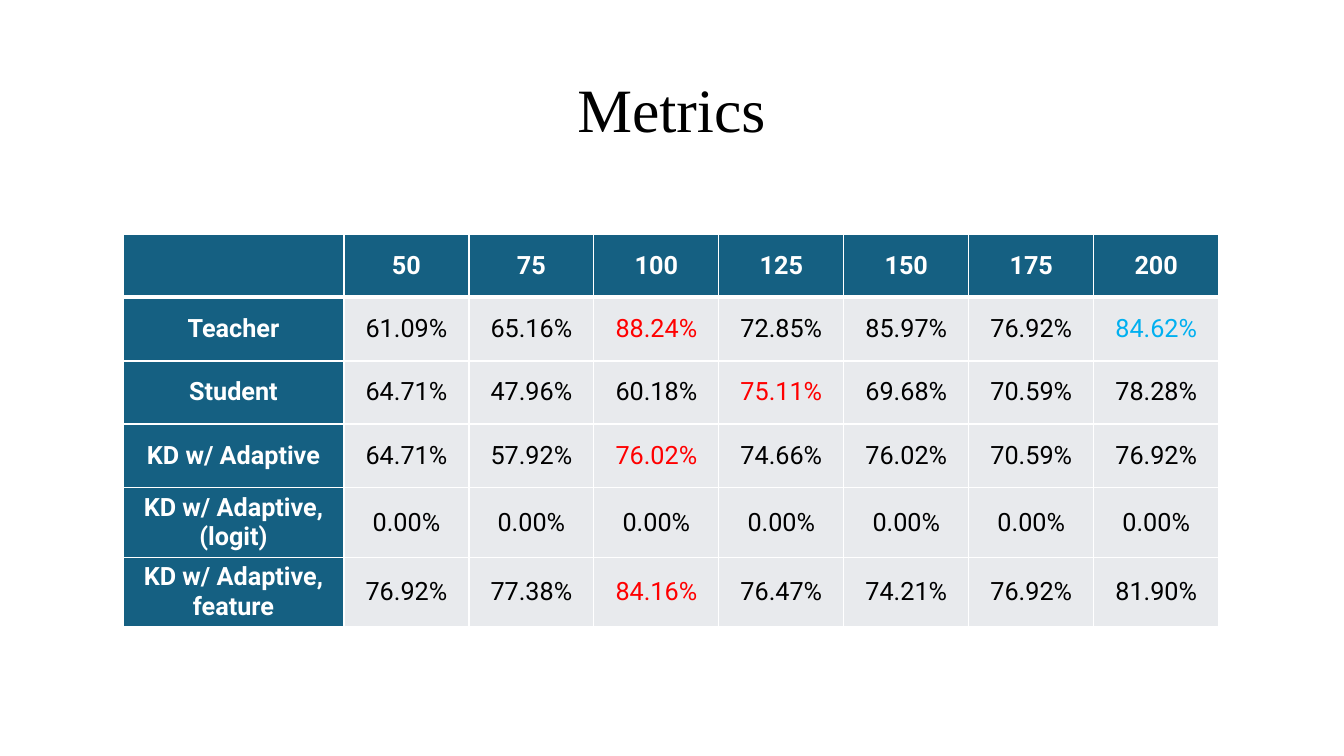
from lxml.etree import SubElement
from pptx import Presentation
from pptx.dml.color import RGBColor
from pptx.enum.text import MSO_ANCHOR, PP_ALIGN
from pptx.oxml.ns import qn
from pptx.util import Pt

EMU_PER_INCH = 914400
PX_PER_INCH = 100.8

WHITE = RGBColor(0xFF, 0xFF, 0xFF)
BLACK = RGBColor(0x00, 0x00, 0x00)
TEAL = RGBColor(0x15, 0x60, 0x82)
LIGHT_GRAY = RGBColor(0xE8, 0xEA, 0xED)
RED = RGBColor(0xFF, 0x00, 0x00)
SKY_BLUE = RGBColor(0x00, 0xB0, 0xF0)

TITLE_BOX = (92, 40, 1159, 146)
TABLE_BOX = (123, 234, 1096, 382)
LABEL_WIDTH = 221
ROW_HEIGHTS = (63, 64, 63, 64, 64, 64)

METRICS = [
    ("", "50", "75", "100", "125", "150", "175", "200"),
    ("Teacher", "61.09%", "65.16%", "88.24%", "72.85%", "85.97%", "76.92%", "84.62%"),
    ("Student", "64.71%", "47.96%", "60.18%", "75.11%", "69.68%", "70.59%", "78.28%"),
    ("KD w/ Adaptive", "64.71%", "57.92%", "76.02%", "74.66%", "76.02%", "70.59%", "76.92%"),
    ("KD w/ Adaptive,\n(logit)",) + ("0.00%",) * 7,
    ("KD w/ Adaptive,\nfeature", "76.92%", "77.38%", "84.16%", "76.47%", "74.21%", "76.92%", "81.90%"),
]
HIGHLIGHTS = {(1, 3): RED, (1, 7): SKY_BLUE, (2, 4): RED, (3, 3): RED, (5, 3): RED}

TITLE_FONT = {"name": "Times New Roman", "size": Pt(44), "bold": False}
CELL_FONT = {"name": "Roboto", "size": Pt(18)}


def px(length):
    return round(length * EMU_PER_INCH / PX_PER_INCH)


def format_font(font, color, values):
    for name, value in values.items():
        setattr(font, name, value)
    font.color.rgb = color


def add_title(slide, box):
    title = slide.shapes.title
    title.left, title.top, title.width, title.height = map(px, box)
    title.text_frame.text = "Metrics"
    title.text_frame.vertical_anchor = MSO_ANCHOR.MIDDLE
    para = title.text_frame.paragraphs[0]
    para.alignment = PP_ALIGN.CENTER
    para.line_spacing = 0.9
    format_font(para.runs[0].font, BLACK, TITLE_FONT)


def set_borders(cell, row):
    """Draw white borders, with a thick rule below the header row."""
    points = {"L": 1, "R": 1, "T": 3 if row == 1 else 1, "B": 3 if row == 0 else 1}
    properties = cell._tc.get_or_add_tcPr()
    for side, width in points.items():
        line = SubElement(properties, qn(f"a:ln{side}"), w=str(Pt(width)))
        fill = SubElement(line, qn("a:solidFill"))
        SubElement(fill, qn("a:srgbClr"), val=str(WHITE))


def fill_cell(cell, row, column, text):
    is_heading = row == 0 or column == 0
    color = WHITE if is_heading else HIGHLIGHTS.get((row, column), BLACK)
    set_borders(cell, row)
    cell.fill.solid()
    cell.fill.fore_color.rgb = TEAL if is_heading else LIGHT_GRAY
    cell.vertical_anchor = MSO_ANCHOR.MIDDLE
    cell.text = text
    for para in cell.text_frame.paragraphs:
        para.alignment = PP_ALIGN.CENTER
        for span in para.runs:
            format_font(span.font, color, {**CELL_FONT, "bold": is_heading})


def add_metrics_table(slide, box):
    column_count = len(METRICS[0])
    table = slide.shapes.add_table(len(METRICS), column_count, *map(px, box)).table
    value_width = (box[2] - LABEL_WIDTH) // (column_count - 1)
    for index, column in enumerate(table.columns):
        column.width = px(value_width if index else LABEL_WIDTH)
    for row, height in zip(table.rows, ROW_HEIGHTS):
        row.height = px(height)
    for row, texts in enumerate(METRICS):
        for column, text in enumerate(texts):
            fill_cell(table.cell(row, column), row, column, text)


def main():
    deck = Presentation()
    deck.slide_width, deck.slide_height = px(1344), px(756)
    slide = deck.slides.add_slide(deck.slide_layouts.get_by_name("Title Only"))
    add_title(slide, TITLE_BOX)
    add_metrics_table(slide, TABLE_BOX)
    deck.save("out.pptx")


if __name__ == "__main__":
    main()
